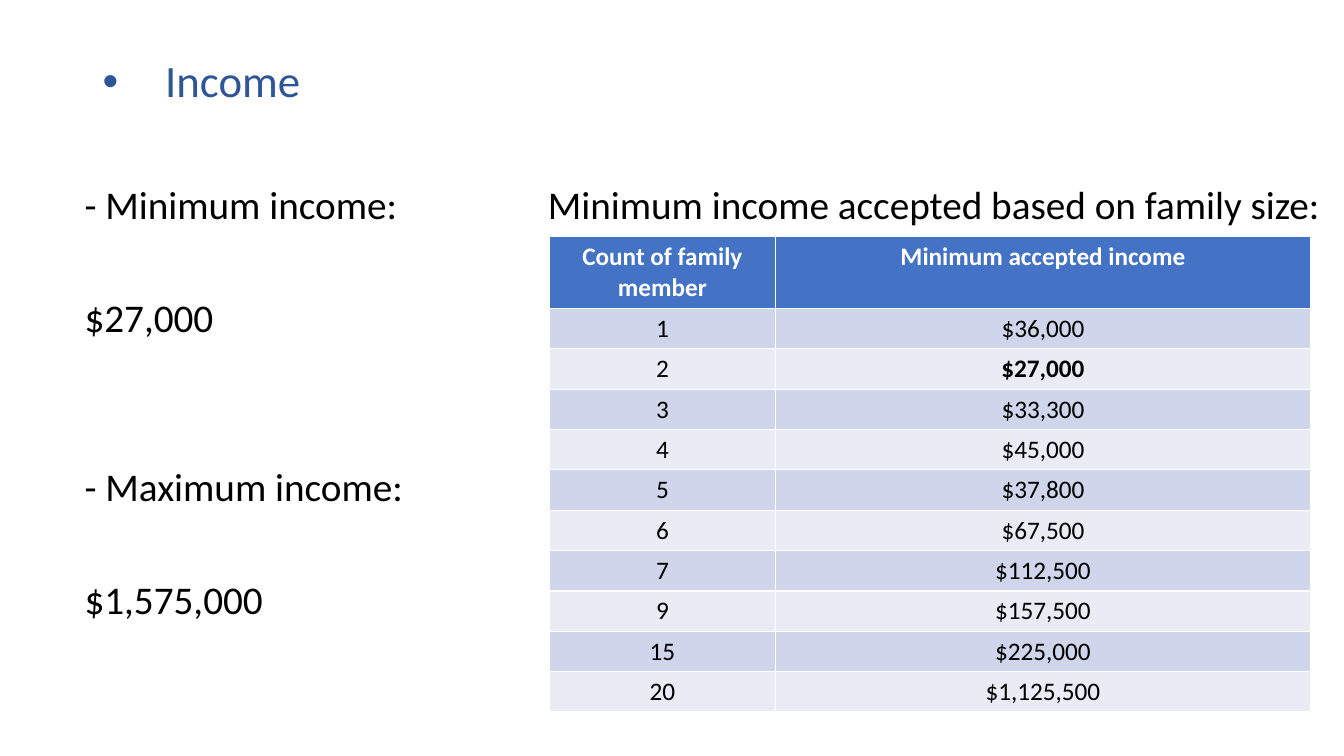
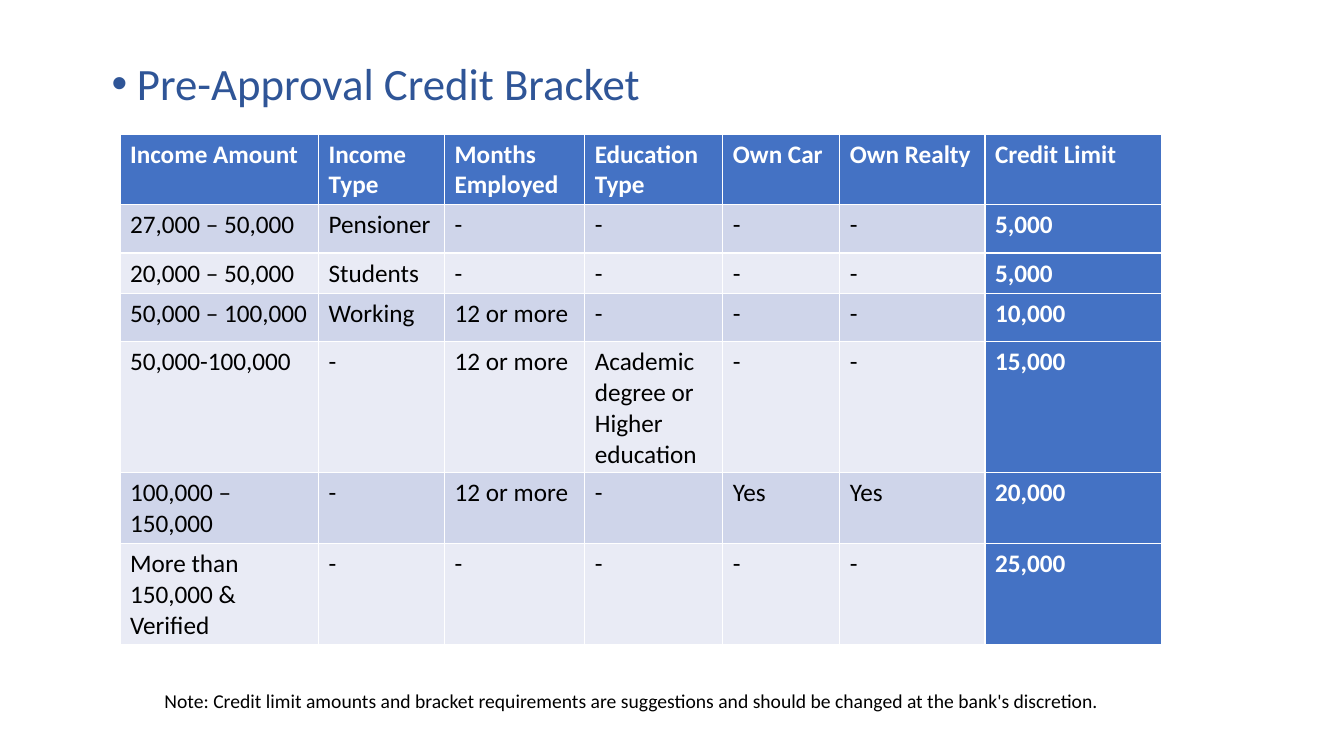
"""Build two slides on income limits and pre-approval credit brackets."""
from lxml.etree import SubElement
from pptx import Presentation
from pptx.dml.color import RGBColor
from pptx.enum.text import MSO_ANCHOR, PP_ALIGN
from pptx.oxml.ns import qn
from pptx.util import Inches, Pt

FONT = "Calibri"
COLORS = {
    "title": "2F5597",
    "text": "000000",
    "light": "FFFFFF",
    "header": "4472C4",
    "band_odd": "CFD5EA",
    "band_even": "E9EBF5",
}

INCOME_LIMITS = [
    ("- Minimum income:", 10),
    ("$27,000", 50.5),
    ("- Maximum income:", 90.5),
    ("$1,575,000", 50.5),
]
FAMILY_HEADING = "Minimum income accepted based on family size:"
LOWEST_INCOME = "$27,000"
FAMILY_ROWS = [
    ("Count of family member", "Minimum accepted income"),
    ("1", "$36,000"),
    ("2", LOWEST_INCOME),
    ("3", "$33,300"),
    ("4", "$45,000"),
    ("5", "$37,800"),
    ("6", "$67,500"),
    ("7", "$112,500"),
    ("9", "$157,500"),
    ("15", "$225,000"),
    ("20", "$1,125,500"),
]
FAMILY_WIDTHS = [2.24, 5.31]
FAMILY_HEIGHTS = [0.71] + [0.4] * (len(FAMILY_ROWS) - 1)

CREDIT_ROWS = [
    ("Income Amount", "Income Type", "Months\nEmployed", "Education Type",
     "Own Car", "Own Realty", "Credit Limit"),
    ("27,000 – 50,000", "Pensioner", "-", "-", "-", "-", "5,000"),
    ("20,000 – 50,000", "Students", "-", "-", "-", "-", "5,000"),
    ("50,000 – 100,000", "Working", "12 or more", "-", "-", "-", "10,000"),
    ("50,000-100,000", "-", "12 or more", "Academic degree or Higher education",
     "-", "-", "15,000"),
    ("100,000 – 150,000", "-", "12 or more", "-", "Yes", "Yes", "20,000"),
    ("More than 150,000 & Verified", "-", "-", "-", "-", "-", "25,000"),
]
CREDIT_WIDTHS = [1.97, 1.25, 1.39, 1.37, 1.16, 1.44, 1.75]
CREDIT_HEIGHTS = [0.68, 0.48, 0.39, 0.48, 1.27, 0.68, 0.97]
CREDIT_NOTE = ("Note: Credit limit amounts and bracket requirements are suggestions "
               "and should be changed at the bank's discretion.")


def color(name):
    return RGBColor.from_string(COLORS[name])


def style(paragraph, size, color_name="text", bold=False, align=PP_ALIGN.LEFT):
    paragraph.alignment = align
    font = paragraph.font
    font.name, font.size, font.bold = FONT, Pt(size), bold
    font.color.rgb = color(color_name)


def add_text(slide, box, lines, size, color_name="text", align=PP_ALIGN.LEFT,
             anchor=MSO_ANCHOR.TOP, line_spacing=0.9):
    """Add a text box of (text, space before) lines and return its paragraphs."""
    frame = slide.shapes.add_textbox(*map(Inches, box)).text_frame
    frame.word_wrap = True
    frame.vertical_anchor = anchor
    frame.text = "\n".join(text for text, _ in lines)
    for paragraph, (_, space_before) in zip(frame.paragraphs, lines):
        style(paragraph, size, color_name, align=align)
        paragraph.line_spacing = line_spacing
        paragraph.space_before = Pt(space_before)
    return frame.paragraphs


def add_title(slide, text, box, indent, anchor=MSO_ANCHOR.TOP):
    paragraph = add_text(slide, box, [(text, 0)], 32, "title", anchor=anchor)[0]
    properties = paragraph._p.get_or_add_pPr()
    properties.set("marL", str(Inches(indent)))
    properties.set("indent", str(-Inches(indent)))
    bullet_font = SubElement(properties, qn("a:buFont"), typeface="Arial")
    bullet = SubElement(properties, qn("a:buChar"), char="•")
    properties.find(qn("a:defRPr")).addprevious(bullet_font)
    bullet_font.addnext(bullet)


def add_table(slide, left, top, rows, widths, heights, align=PP_ALIGN.LEFT,
              highlight=None, last_column=False):
    table = slide.shapes.add_table(
        len(rows), len(widths), Inches(left), Inches(top),
        Inches(sum(widths)), Inches(sum(heights))).table
    table.last_col = last_column
    for column, width in zip(table.columns, widths):
        column.width = Inches(width)
    for row, height in zip(table.rows, heights):
        row.height = Inches(height)
    for row_index, values in enumerate(rows):
        band = "band_odd" if row_index % 2 else "band_even"
        for column_index, value in enumerate(values):
            is_header = row_index == 0 or (
                last_column and column_index == len(widths) - 1)
            cell = table.cell(row_index, column_index)
            cell.text = value
            cell.fill.solid()
            cell.fill.fore_color.rgb = color("header" if is_header else band)
            for paragraph in cell.text_frame.paragraphs:
                style(paragraph, 18, "light" if is_header else "text",
                      is_header or value == highlight, align)


def build_income(slide):
    add_title(slide, "Income", (0.92, 0.4, 11.5, 0.85), 0.62, MSO_ANCHOR.MIDDLE)
    add_text(slide, (0.74, 1.79, 4.12, 5.31), INCOME_LIMITS, 28)
    add_table(slide, 5.45, 2.35, FAMILY_ROWS, FAMILY_WIDTHS, FAMILY_HEIGHTS,
              PP_ALIGN.CENTER, highlight=LOWEST_INCOME)
    add_text(slide, (5.27, 1.79, 7.98, 0.55), [(FAMILY_HEADING, 10)], 28,
             align=PP_ALIGN.CENTER)


def build_credit(slide):
    add_title(slide, "Pre-Approval Credit Bracket", (1.01, 0.56, 11.5, 0.65), 0.25)
    add_table(slide, 1.19, 1.33, CREDIT_ROWS, CREDIT_WIDTHS, CREDIT_HEIGHTS,
              last_column=True)
    add_text(slide, (1.19, 6.79, 10.15, 0.34), [(CREDIT_NOTE, 0)], 14,
             align=PP_ALIGN.CENTER, line_spacing=1.0)


def main():
    presentation = Presentation()
    presentation.slide_width = Inches(13.33)
    presentation.slide_height = Inches(7.5)
    for build in (build_income, build_credit):
        build(presentation.slides.add_slide(presentation.slide_layouts[6]))
    presentation.save("out.pptx")


if __name__ == "__main__":
    main()
